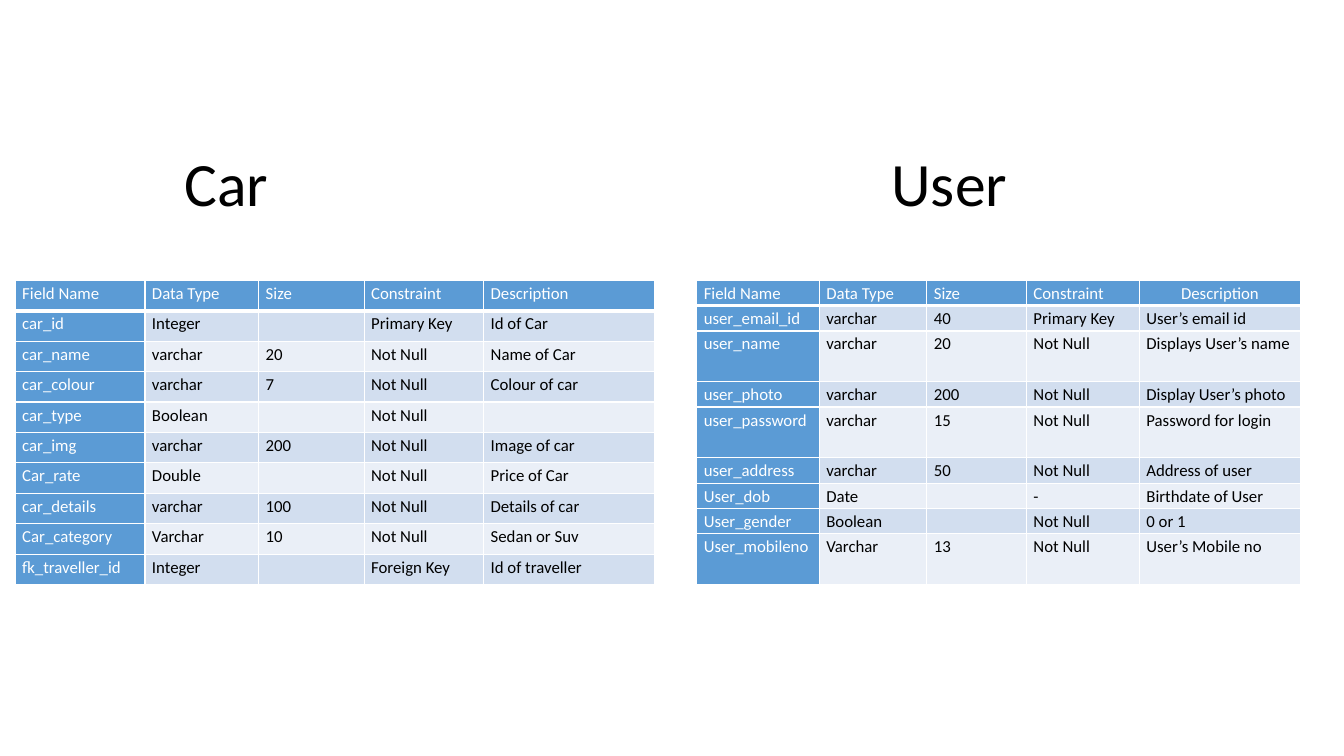
from dataclasses import dataclass

from lxml.etree import SubElement
from pptx import Presentation
from pptx.dml.color import RGBColor
from pptx.enum.text import MSO_ANCHOR, MSO_AUTO_SIZE, PP_ALIGN
from pptx.oxml.ns import qn
from pptx.util import Inches, Pt


@dataclass(frozen=True)
class Theme:
    font: str = "Calibri"
    title_size: int = 44
    cell_size: int = 12
    text: str = "000000"
    light: str = "FFFFFF"
    head: str = "5B9BD5"
    bands: tuple = ("EAEFF7", "D2DEEF")
    rule: int = 1
    head_rule: int = 3


THEME = Theme()
WIDTH, HEIGHT = Inches(13.33), Inches(7.5)

# Left, top, width and height in percent of the slide
TITLE_AREA = (12.98, 15.07, 86.27, 19.33)
CAR_AREA = (1.13, 37.07, 47.56, 40.27)
USER_AREA = (51.84, 37.07, 44.94, 40.27)
USER_TAB = 52.6
COLUMN_SHARES = (20.3, 17.8, 16.5, 18.7, 26.7)

FIELDS = ("Field Name", "Data Type", "Size", "Constraint", "Description")
CAR = (
    FIELDS,
    ("car_id", "Integer", "", "Primary Key", "Id of Car"),
    ("car_name", "varchar", "20", "Not Null", "Name of Car"),
    ("car_colour", "varchar", "7", "Not Null", "Colour of car"),
    ("car_type", "Boolean", "", "Not Null", ""),
    ("car_img", "varchar", "200", "Not Null", "Image of car"),
    ("Car_rate", "Double", "", "Not Null", "Price of Car"),
    ("car_details", "varchar", "100", "Not Null", "Details of car"),
    ("Car_category", "Varchar", "10", "Not Null", "Sedan or Suv"),
    ("fk_traveller_id", "Integer", "", "Foreign Key", "Id of traveller"),
)
USER = (
    FIELDS,
    ("user_email_id", "varchar", "40", "Primary Key", "User’s email id"),
    ("user_name", "varchar", "20", "Not Null", "Displays User’s name"),
    ("user_photo", "varchar", "200", "Not Null", "Display User’s photo"),
    ("user_password", "varchar", "15", "Not Null", "Password for login"),
    ("user_address", "varchar", "50", "Not Null", "Address of user"),
    ("User_dob", "Date", "", "-", "Birthdate of User"),
    ("User_gender", "Boolean", "", "Not Null", "0 or 1"),
    ("User_mobileno", "Varchar", "13", "Not Null", "User’s Mobile no"),
)
CAR_ROWS = (1,) * len(CAR)
USER_ROWS = (1, 1, 2, 1, 2, 1, 1, 1, 2)


def share(percent, total):
    return round(total * percent / 100)


def box(area):
    return [share(v, t) for v, t in zip(area, (WIDTH, HEIGHT) * 2)]


def apply(target, **values):
    for name, value in values.items():
        setattr(target, name, value)


def style_font(font, size, color):
    apply(font, name=THEME.font, size=Pt(size), bold=False)
    font.color.rgb = RGBColor.from_string(color)


def add_title(s, text):
    title = s.shapes.title
    apply(title, **dict(zip(("left", "top", "width", "height"), box(TITLE_AREA))))
    tf = title.text_frame
    apply(tf, vertical_anchor=MSO_ANCHOR.MIDDLE, word_wrap=True,
          auto_size=MSO_AUTO_SIZE.NONE)
    p = tf.paragraphs[0]
    apply(p, alignment=PP_ALIGN.LEFT, line_spacing=0.9)
    r = p.add_run()
    r.text = text
    style_font(r.font, THEME.title_size, THEME.text)
    tabs = SubElement(p._p.get_or_add_pPr(), qn("a:tabLst"))
    SubElement(tabs, qn("a:tab"), pos=str(share(USER_TAB, WIDTH)), algn="l")


def add_borders(cell, bottom):
    """Must run before the fill, which follows the lines in the cell's XML."""
    tc_pr = cell._tc.get_or_add_tcPr()
    for side, width in zip("LRTB", (THEME.rule,) * 3 + (bottom,)):
        line = SubElement(tc_pr, qn(f"a:ln{side}"), w=str(Pt(width)))
        fill = SubElement(line, qn("a:solidFill"))
        SubElement(fill, qn("a:srgbClr"), val=THEME.light)


def fill_cell(cell, text, fill, color, bottom, align):
    apply(cell, margin_left=Inches(0.07), margin_right=Inches(0.07),
          margin_top=0, margin_bottom=0, vertical_anchor=MSO_ANCHOR.TOP)
    add_borders(cell, bottom)
    cell.fill.solid()
    cell.fill.fore_color.rgb = RGBColor.from_string(fill)
    p = cell.text_frame.paragraphs[0]
    apply(p, alignment=align, line_spacing=1.15, space_after=Pt(10))
    if text:
        r = p.add_run()
        r.text = text
        style_font(r.font, THEME.cell_size, color)
    else:
        SubElement(p._p, qn("a:endParaRPr"), sz=str(THEME.cell_size * 100))


def add_field_table(s, area, rows, row_units, last_head_align=PP_ALIGN.LEFT):
    left, top, width, height = box(area)
    table = s.shapes.add_table(len(rows), len(FIELDS), left, top, width, height).table
    apply(table, first_row=False, horz_banding=False)
    for column, percent in zip(table.columns, COLUMN_SHARES):
        column.width = share(percent, width)
    for row, units in zip(table.rows, row_units):
        row.height = round(height * units / sum(row_units))
    for i, values in enumerate(rows):
        for j, text in enumerate(values):
            is_head = i == 0 or j == 0
            last_head = i == 0 and j == len(FIELDS) - 1
            fill_cell(
                table.cell(i, j), text,
                fill=THEME.head if is_head else THEME.bands[i % 2],
                color=THEME.light if is_head else THEME.text,
                bottom=THEME.head_rule if i == 0 else THEME.rule,
                align=last_head_align if last_head else PP_ALIGN.LEFT,
            )


def main():
    prs = Presentation()
    apply(prs, slide_width=WIDTH, slide_height=HEIGHT)
    s = prs.slides.add_slide(prs.slide_layouts[5])
    add_field_table(s, USER_AREA, USER, USER_ROWS, PP_ALIGN.CENTER)
    add_field_table(s, CAR_AREA, CAR, CAR_ROWS)
    add_title(s, "Car\tUser")
    prs.save("out.pptx")


if __name__ == "__main__":
    main()
